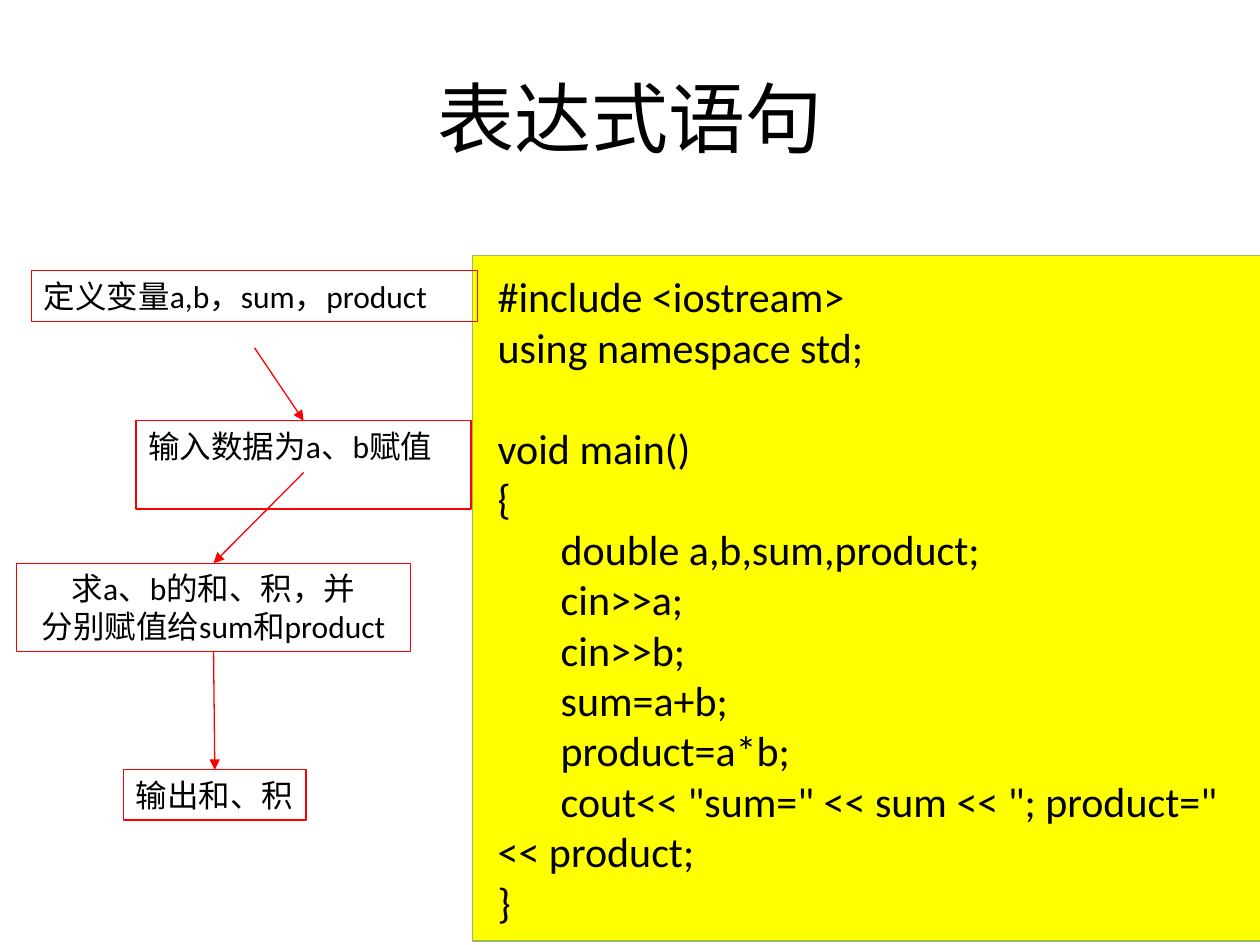
"""Build the slide on expression statements: a flow of steps beside its C++ program."""
from itertools import pairwise

from lxml import etree
from pptx import Presentation
from pptx.dml.color import RGBColor
from pptx.enum import shapes, text
from pptx.oxml.ns import qn
from pptx.util import Inches, Pt

BLACK = RGBColor(0x00, 0x00, 0x00)
RED = RGBColor(0xFF, 0x00, 0x00)
YELLOW = RGBColor(0xFF, 0xFF, 0x00)
GREEN = RGBColor(0x9B, 0xBB, 0x59)
FONT = "Calibri"
LINE_WIDTH = Pt(0.74)
LEFT, CENTER = text.PP_ALIGN.LEFT, text.PP_ALIGN.CENTER

TITLE = "表达式语句"
HEADER = ["#include <iostream>", "using namespace std;"]
MAIN = [
    "void main()",
    "{",
    "\tdouble a,b,sum,product;",
    "\tcin>>a;",
    "\tcin>>b;",
    "\tsum=a+b;",
    "\tproduct=a*b;",
    '\tcout<< "sum=" << sum << "; product=" << product;',
    "}",
]
STEPS = [
    dict(lines=["定义变量a,b，sum，product"], box=(0.25, 2.15, 3.54, 0.4), wrap=False, arrow_start=2.76),
    dict(lines=["输入数据为a、b赋值"], box=(1.08, 3.34, 2.66, 0.7), arrow_start=3.75),
    dict(lines=["求a、b的和、积，并", "分别赋值给sum和product"], box=(0.13, 4.47, 3.13, 0.7),
         align=CENTER, arrow_start=5.17),
    dict(lines=["输出和、积"], box=(0.98, 6.11, 1.45, 0.4), wrap=False),
]


def write(shape, lines, size, align=LEFT, anchor=text.MSO_ANCHOR.TOP, margins=(0.1, 0.05), wrap=True):
    """Fill a shape with one paragraph per line."""
    frame = shape.text_frame
    frame.word_wrap = wrap
    frame.vertical_anchor = anchor
    frame.margin_left = frame.margin_right = Inches(margins[0])
    frame.margin_top = frame.margin_bottom = Inches(margins[1])
    frame.text = "\n".join(lines)
    for paragraph in frame.paragraphs:
        paragraph.alignment = align
        paragraph.font.name = FONT
        paragraph.font.size = Pt(size)
        paragraph.font.color.rgb = BLACK


def add_box(slide, box, line_color, fill_color=None):
    """Add an outlined rectangle, filled when a colour is given."""
    shape = slide.shapes.add_shape(shapes.MSO_SHAPE.RECTANGLE, *map(Inches, box))
    shape.shadow.inherit = False
    if fill_color is None:
        shape.fill.background()
    else:
        shape.fill.solid()
        shape.fill.fore_color.rgb = fill_color
    shape.line.color.rgb = line_color
    shape.line.width = LINE_WIDTH
    return shape


def add_arrow(slide, start, end):
    """Add a red arrow between two points."""
    arrow = slide.shapes.add_connector(shapes.MSO_CONNECTOR.STRAIGHT, *map(Inches, start + end))
    arrow.line.color.rgb = RED
    arrow.line.width = LINE_WIDTH
    etree.SubElement(arrow.line._get_or_add_ln(), qn("a:tailEnd"), type="triangle")
    etree.SubElement(arrow._element.spPr, qn("a:effectLst"))


def center_x(step):
    """Return the horizontal middle of a step."""
    left, _, width, _ = step["box"]
    return left + width / 2


presentation = Presentation()
presentation.slide_width, presentation.slide_height = Inches(10), Inches(7.5)
slide = presentation.slides.add_slide(presentation.slide_layouts[6])

title = slide.shapes.add_textbox(*map(Inches, (0.5, 0.3, 9, 1.25)))
write(title, [TITLE], 44, CENTER, text.MSO_ANCHOR.MIDDLE)

program = add_box(slide, (3.75, 2.03, 6.37, 5.44), GREEN, YELLOW)
write(program, HEADER + MAIN, 24, margins=(0.2, 0.12))
program.text_frame.paragraphs[len(HEADER)].space_before = Pt(29)

for step in STEPS:
    shape = add_box(slide, step["box"], RED)
    write(shape, step["lines"], 18, step.get("align", LEFT), wrap=step.get("wrap", True))

for step, following in pairwise(STEPS):
    add_arrow(slide, (center_x(step), step["arrow_start"]), (center_x(following), following["box"][1]))

presentation.save("out.pptx")
